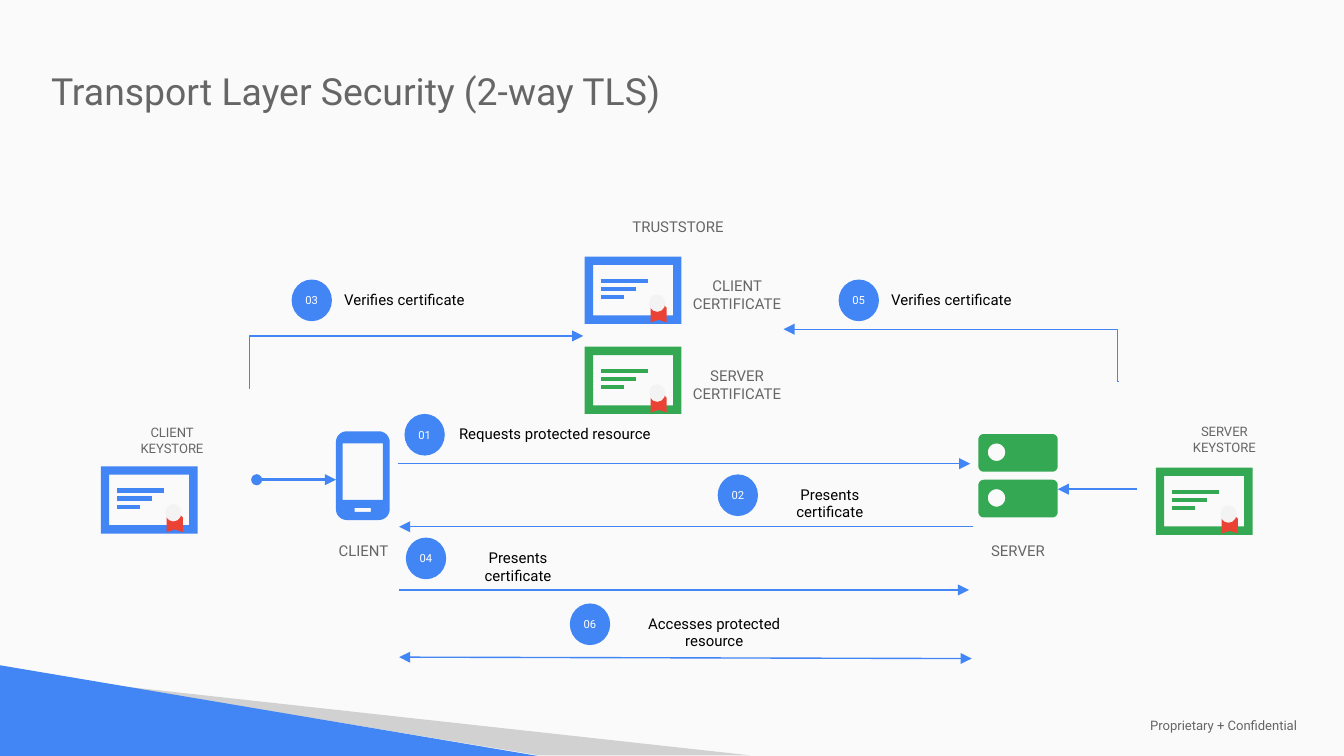
import math
from pptx import Presentation
from pptx import util as u
from pptx.dml.color import RGBColor
from pptx.enum import shapes, text
from pptx.oxml import ns, xmlchemy

FONT = "Roboto"
COLORS = {
    "background": "FAFAFA", "blue": "4285F4", "green": "34A853", "red": "EA4335",
    "seal": "F3F3F3", "swoosh": "D1D1D1", "gray": "666666", "black": "000000",
    "white": "FFFFFF",
}


def rgb(color):
    return RGBColor.from_string(COLORS[color])


def paint(shape, color):
    shape.shadow.inherit = False
    shape.fill.solid()
    shape.fill.fore_color.rgb = rgb(color)
    shape.line.fill.background()


def write(shape, wording, size, color, align, anchor, inset):
    frame = shape.text_frame
    frame.text = wording
    frame.word_wrap = True
    frame.auto_size = text.MSO_AUTO_SIZE.NONE
    frame.vertical_anchor = anchor
    frame.margin_left = frame.margin_right = u.Inches(inset)
    frame.margin_top = frame.margin_bottom = u.Inches(inset)
    paragraph = frame.paragraphs[0]
    paragraph.alignment = align
    for run in paragraph.runs:
        run.font.name = FONT
        run.font.size = u.Pt(size)
        run.font.color.rgb = rgb(color)


def add_label(parent, wording, left, top, width, height=0.3, size=8, color="gray",
              align=text.PP_ALIGN.CENTER, anchor=text.MSO_ANCHOR.TOP, inset=0.08):
    label = parent.add_textbox(*map(u.Inches, (left, top, width, height)))
    write(label, wording, size, color, align, anchor, inset)


def add_shape(parent, kind, left, top, width, height, color):
    shape = parent.add_shape(kind, *map(u.Inches, (left, top, width, height)))
    paint(shape, color)
    return shape


def add_outline(parent, contours, color):
    contours = [[(u.Inches(x), u.Inches(y)) for x, y in points] for points in contours]
    builder = parent.build_freeform(*contours[0][0])
    for index, points in enumerate(contours):
        if index:
            builder.move_to(*points[0])
        builder.add_line_segments(points[1:], close=True)
    paint(builder.convert_to_shape(), color)


def rounded_box(left, top, width, height, radius=0.0):
    corners = [
        (left + width - radius, top + radius, -90),
        (left + width - radius, top + height - radius, 0),
        (left + radius, top + height - radius, 90),
        (left + radius, top + radius, 180),
    ]
    turns = range(0, 91, 10) if radius else [0]
    return [
        (x + radius * math.cos(math.radians(start + turn)),
         y + radius * math.sin(math.radians(start + turn)))
        for x, y, start in corners for turn in turns
    ]


def add_line(parent, start, end, color="blue", width=0.75, head=None, tail=None, bent=False):
    kind = shapes.MSO_CONNECTOR.ELBOW if bent else shapes.MSO_CONNECTOR.STRAIGHT
    line = parent.add_connector(kind, *map(u.Inches, (*start, *end)))
    line.line.color.rgb = rgb(color)
    line.line.width = u.Pt(width)
    properties = line._element.spPr
    for tag, ending in (("a:headEnd", head), ("a:tailEnd", tail)):
        if ending:
            arrowhead = xmlchemy.OxmlElement(tag)
            arrowhead.set("type", ending)
            line.line._get_or_add_ln().append(arrowhead)
    if bent:
        bend = xmlchemy.OxmlElement("a:gd")
        bend.set("name", "adj1")
        bend.set("fmla", "val 200")
        geometry = properties.find(ns.qn("a:prstGeom"))
        geometry.find(ns.qn("a:avLst")).append(bend)
    properties.append(xmlchemy.OxmlElement("a:effectLst"))


def add_certificate(slide, left, top, color):
    parts = slide.shapes.add_group_shape().shapes
    border = add_shape(parts, shapes.MSO_SHAPE.FRAME, left, top, 0.72, 0.5, color)
    border.adjustments[0] = 0.125
    for row, length in enumerate((0.35, 0.26, 0.17)):
        y = top + 0.18 + row * 0.06
        add_line(parts, (left + 0.12, y), (left + 0.12 + length, y), color, 2.25)
    ribbon = [(0.51, 0.36), (0.59, 0.36), (0.61, 0.38), (0.61, 0.49),
              (0.55, 0.47), (0.49, 0.49), (0.49, 0.38)]
    add_outline(parts, [[(left + x, top + y) for x, y in ribbon]], "red")
    add_shape(parts, shapes.MSO_SHAPE.OVAL, left + 0.48, top + 0.28, 0.12, 0.13, "seal")


def add_step(slide, number, wording, left, top, width):
    badge = add_shape(slide.shapes, shapes.MSO_SHAPE.OVAL, left, top, 0.3, 0.31, "blue")
    write(badge, number, 6, "white", text.PP_ALIGN.CENTER, text.MSO_ANCHOR.MIDDLE, 0)
    badge.text_frame.word_wrap = False
    label_left = left + (0.11 if wording == "Verifies certificate" else 0.29)
    add_label(slide.shapes, wording, label_left, top, width, color="black")


def add_phone(slide):
    add_outline(slide.shapes, [
        rounded_box(2.5, 3.21, 0.4, 0.66, 0.08),
        rounded_box(2.64, 3.78, 0.12, 0.03),
        rounded_box(2.55, 3.3, 0.3, 0.42),
    ], "blue")


def add_server(slide):
    contours = []
    for top in (3.23, 3.57):
        contours.append(rounded_box(7.28, top, 0.59, 0.28, 0.04))
        contours.append(rounded_box(7.35, top + 0.07, 0.13, 0.13, 0.065))
    add_outline(slide.shapes, contours, "green")


def add_backdrop(slide):
    slide.background.fill.solid()
    slide.background.fill.fore_color.rgb = rgb("background")
    add_outline(slide.shapes, [[(0.85, 5.1), (5.58, 5.62), (4.01, 5.62)]], "swoosh")
    add_outline(slide.shapes, [[(0, 4.95), (0, 5.63), (4.03, 5.63)]], "blue")
    add_label(slide.shapes, "Proprietary + Confidential", 8.46, 5.33, 1.49, 0.14, size=7,
              align=text.PP_ALIGN.LEFT, anchor=text.MSO_ANCHOR.MIDDLE, inset=0.1)


def add_title(slide, wording):
    title = slide.shapes.title
    title.left, title.top, title.width, title.height = map(u.Inches, (0.3, 0.43, 5.6, 0.67))
    write(title, wording, 20, "gray", text.PP_ALIGN.LEFT, text.MSO_ANCHOR.TOP, 0.08)


def main():
    prs = Presentation()
    prs.slide_width = u.Inches(10)
    prs.slide_height = u.Inches(10 * 9 / 16)
    slide = prs.slides.add_slide(prs.slide_layouts[5])
    add_backdrop(slide)
    add_title(slide, "Transport Layer Security (2-way TLS)")
    add_phone(slide)
    add_server(slide)

    for left, top, color in ((4.35, 1.91, "blue"), (4.35, 2.58, "green"),
                             (0.75, 3.47, "blue"), (8.6, 3.48, "green")):
        add_certificate(slide, left, top, color)

    for wording, left, top, width, height, size in (
        ("TRUSTSTORE", 4.54, 1.54, 1.01, 0.3, 8),
        ("CLIENT CERTIFICATE", 5.07, 1.98, 0.83, 0.36, 8),
        ("SERVER CERTIFICATE", 5.07, 2.65, 0.83, 0.36, 8),
        ("CLIENT KEYSTORE", 0.8, 3.08, 0.96, 0.36, 7),
        ("SERVER KEYSTORE", 8.63, 3.07, 0.96, 0.36, 7),
        ("CLIENT", 2.39, 3.95, 0.63, 0.3, 8),
        ("SERVER", 7.26, 3.95, 0.63, 0.3, 8),
    ):
        add_label(slide.shapes, wording, left, top, width, height, size)

    add_line(slide.shapes, (1.91, 3.57), (2.5, 3.57), width=1.5, head="oval", tail="triangle")
    add_line(slide.shapes, (7.87, 3.64), (8.46, 3.64), head="triangle")
    for start, end, head, bent in (
        ((1.85, 2.89), (4.34, 2.5), None, True),
        ((8.32, 2.84), (5.83, 2.45), None, True),
        ((2.96, 3.45), (7.22, 3.45), None, False),
        ((7.24, 3.92), (2.97, 3.92), None, False),
        ((2.97, 4.39), (7.21, 4.39), None, False),
        ((2.97, 4.89), (7.23, 4.9), "triangle", False),
    ):
        add_line(slide.shapes, start, end, head=head, tail="triangle", bent=bent)

    for number, wording, left, top, width in (
        ("01", "Requests protected resource", 3.01, 3.08, 1.66),
        ("02", "Presents certificate", 5.34, 3.53, 1.09),
        ("03", "Verifies certificate", 2.17, 2.08, 1.46),
        ("04", "Presents certificate", 3.02, 4, 1.09),
        ("05", "Verifies certificate", 6.24, 2.08, 1.46),
        ("06", "Accesses protected resource", 4.24, 4.49, 1.57),
    ):
        add_step(slide, number, wording, left, top, width)

    prs.save("out.pptx")


if __name__ == "__main__":
    main()
